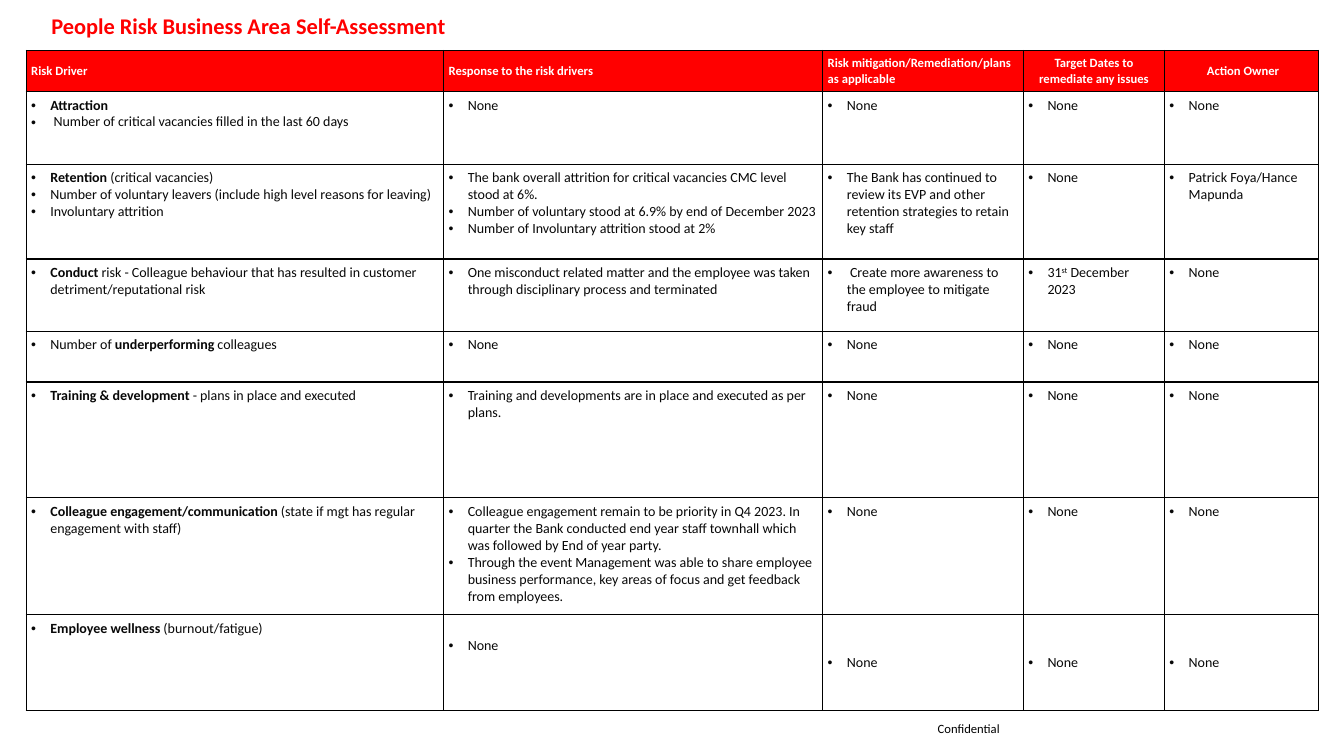
from lxml import etree
from pptx import Presentation
from pptx.dml.color import RGBColor
from pptx.enum import text
from pptx.oxml import ns
from pptx.util import Inches, Pt

# Content: *bold*, ^superscript^; each body cell is a list of bullets
TITLE = "People Risk Business Area Self-Assessment"
NOTE = "Confidential"
HEADS = ["Risk Driver", "Response to the risk drivers",
         "Risk mitigation/Remediation/plans as applicable",
         "Target Dates to remediate any issues", " Action Owner"]
NONE = ["None"]
ROWS = [
    [["*Attraction*", " Number of critical vacancies filled in the last 60 days"],
     NONE, NONE, NONE, NONE],
    [["*Retention* (critical vacancies)",
      "Number of voluntary leavers (include high level reasons for leaving)",
      "Involuntary attrition"],
     ["The bank overall attrition for critical vacancies CMC level stood at 6%.",
      "Number of voluntary stood at 6.9% by end of December 2023",
      "Number of Involuntary attrition stood at 2%"],
     ["The Bank has continued to review its EVP and other retention strategies "
      "to retain key staff"],
     NONE, ["Patrick Foya/Hance Mapunda"]],
    [["*Conduct* risk - Colleague behaviour that has resulted in customer "
      "detriment/reputational risk"],
     ["One misconduct related matter and the employee was taken through "
      "disciplinary process and terminated"],
     [" Create more awareness to the employee to mitigate fraud"],
     ["31^st^ December 2023"], NONE],
    [["Number of *underperforming* colleagues"], NONE, NONE, NONE, NONE],
    [["*Training & development *- plans in place and executed"],
     ["Training and developments are in place and executed as per plans."],
     NONE, NONE, NONE],
    [["*Colleague engagement/communication *(state if mgt has regular "
      "engagement with staff)"],
     ["Colleague engagement remain to be priority in Q4 2023. In quarter the Bank "
      "conducted end year staff townhall which was followed by End of year party.",
      "Through the event Management was able to share employee business performance, "
      "key areas of focus and get feedback from employees."],
     NONE, NONE, NONE],
    [["*Employee wellness *(burnout/fatigue)"], NONE, NONE, NONE, NONE],
]
WIDTHS = [4.14, 3.76, 1.99, 1.4, 1.53]
HEIGHTS = [0.41, 0.72, 0.94, 0.72, 0.5, 1.15, 1.16, 0.95]
HUES = {"red": "FF0000", "white": "FFFFFF", "ink": "080808", "black": "000000"}
PAD, HANG = 0.05, 0.19
LEFT, MID = text.PP_ALIGN.LEFT, text.MSO_ANCHOR.MIDDLE
SIDES = ["margin_left", "margin_top", "margin_right", "margin_bottom"]


def write(para, line, size, hue, bold=False):
    for i, part in enumerate(line.split("*")):
        for j, bit in enumerate(part.split("^")):
            if not bit:
                continue
            run = para.add_run()
            run.text = bit
            look = {"name": "Calibri", "size": Pt(size), "bold": bold or i % 2 == 1}
            for key, val in look.items():
                setattr(run.font, key, val)
            run.font.color.rgb = RGBColor.from_string(HUES[hue])
            if j % 2:
                run.font._element.set("baseline", "30000")


def bullet(para):
    props = para._p.get_or_add_pPr()
    props.set("marL", str(Inches(HANG)))
    props.set("indent", str(-Inches(HANG)))
    etree.SubElement(props, ns.qn("a:buFont"), typeface="Arial")
    etree.SubElement(props, ns.qn("a:buChar"), char="•")


def frame(cell, fill):
    props = cell._tc.get_or_add_tcPr()
    for side in ["lnL", "lnR", "lnT", "lnB"]:
        line = etree.SubElement(props, ns.qn("a:" + side), w=str(Pt(1)))
        paint = etree.SubElement(line, ns.qn("a:solidFill"))
        etree.SubElement(paint, ns.qn("a:srgbClr"), val=HUES["black"])
    cell.fill.solid()
    cell.fill.fore_color.rgb = RGBColor.from_string(HUES[fill])
    for side in SIDES:
        setattr(cell, side, Inches(PAD))


def label(shape, box, line, size, hue, bold, anchor):
    for key, val in zip(["left", "top", "width", "height"], box):
        setattr(shape, key, Inches(val))
    body = shape.text_frame
    look = {"word_wrap": True, "auto_size": text.MSO_AUTO_SIZE.NONE,
            "vertical_anchor": anchor, **dict.fromkeys(SIDES, 0)}
    for key, val in look.items():
        setattr(body, key, val)
    para = body.paragraphs[0]
    para.alignment = LEFT
    write(para, line, size, hue, bold)


def main():
    deck = Presentation()
    deck.slide_width, deck.slide_height = Inches(13.33), Inches(7.5)
    slide = deck.slides.add_slide(deck.slide_layouts[5])

    # Title and footer note
    label(slide.shapes.title, (0.51, 0.12, 12.44, 0.27), TITLE, 16, "red", True, MID)
    note = slide.shapes.add_textbox(0, 0, 0, 0)
    label(note, (9.3, 7.15, 3.78, 0.15), NOTE, 9, "black", False,
          text.MSO_ANCHOR.TOP)

    # Table grid
    grid = slide.shapes.add_table(
        len(HEIGHTS), len(WIDTHS), Inches(0.26), Inches(0.5),
        Inches(sum(WIDTHS)), Inches(sum(HEIGHTS))).table
    grid.first_row = grid.horz_banding = False
    for col, wide in zip(grid.columns, WIDTHS):
        col.width = Inches(wide)
    for row, high in zip(grid.rows, HEIGHTS):
        row.height = Inches(high)

    # Header row
    for c, head in enumerate(HEADS):
        cell = grid.cell(0, c)
        frame(cell, "red")
        cell.vertical_anchor = MID
        para = cell.text_frame.paragraphs[0]
        para.alignment = LEFT if c < 3 else text.PP_ALIGN.CENTER
        write(para, head, 9, "white", True)

    # Body rows
    for r, row in enumerate(ROWS, 1):
        for c, lines in enumerate(row):
            cell = grid.cell(r, c)
            frame(cell, "white")
            for n, line in enumerate(lines):
                body = cell.text_frame
                para = body.add_paragraph() if n else body.paragraphs[0]
                bullet(para)
                write(para, line, 10, "ink")

    # The last row sets its answers lower
    last = len(ROWS)
    grid.cell(last, 1).margin_top = Inches(PAD + 0.17)
    for c in range(2, len(WIDTHS)):
        grid.cell(last, c).vertical_anchor = MID

    deck.save("out.pptx")


if __name__ == "__main__":
    main()
